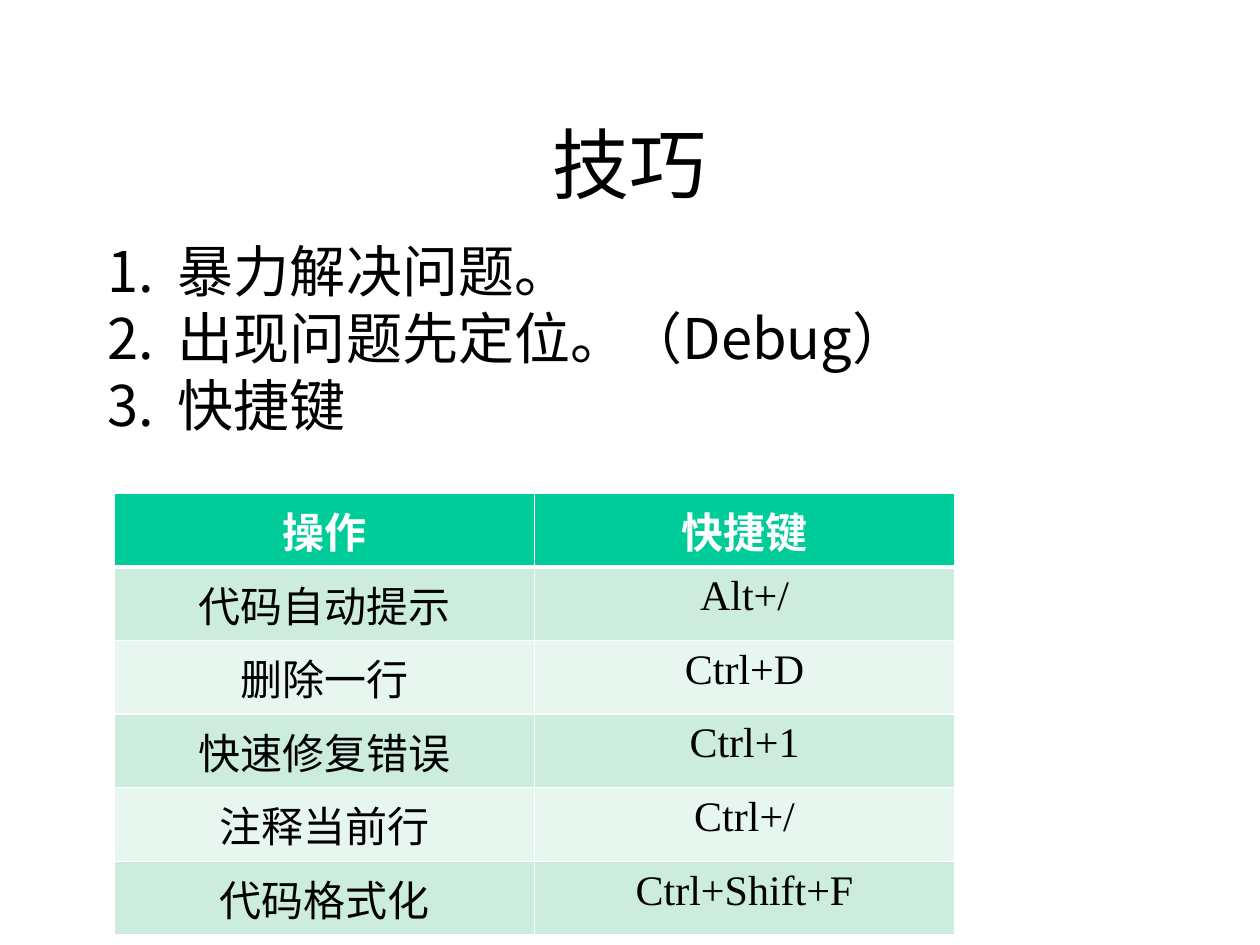
from dataclasses import dataclass

from lxml import etree
from pptx import Presentation
from pptx import util as u
from pptx.dml.color import RGBColor
from pptx.enum import text
from pptx.oxml.ns import qn

Pt = u.Pt


@dataclass(frozen=True)
class Theme:
    sans: str = "Noto Sans CJK SC"
    serif: str = "Times New Roman"
    ink: str = "000000"
    white: str = "FFFFFF"
    head: str = "00CC99"
    bands: tuple = ("CCECDE", "E7F6EF")
    title: int = 44
    body: int = 32
    cell: int = 24


THEME = Theme()


def style(para, face, size, color, bold=False):
    for run in para.runs:
        font = run.font
        font.name, font.size, font.bold = face, Pt(size), bold
        font.color.rgb = RGBColor.from_string(color)
        east = etree.SubElement(font._element, qn("a:ea"))
        east.set("typeface", THEME.sans)


def place(shape, box):
    shape.left, shape.top, shape.width, shape.height = map(Pt, box)


def add_title(slide, box, words):
    shape = slide.shapes.title
    place(shape, box)
    frame = shape.text_frame
    frame.text = words
    frame.vertical_anchor = text.MSO_ANCHOR.MIDDLE
    para = frame.paragraphs[0]
    para.alignment = text.PP_ALIGN.CENTER
    style(para, THEME.sans, THEME.title, THEME.ink)


def add_list(slide, box, items):
    shape = slide.placeholders[1]
    place(shape, box)
    frame = shape.text_frame
    frame.text = "\n".join(items)
    frame.auto_size = text.MSO_AUTO_SIZE.NONE
    for para in frame.paragraphs:
        para.space_before = Pt(0.2 * THEME.body)
        para.line_spacing = 0.83
        style(para, THEME.sans, THEME.body, THEME.ink)
        # Hanging number
        props = para._p.get_or_add_pPr()
        props.set("marL", str(Pt(40.5)))
        props.set("indent", str(-Pt(40.5)))
        mark = etree.SubElement(props, qn("a:buFont"))
        mark.set("typeface", THEME.sans)
        num = etree.SubElement(props, qn("a:buAutoNum"))
        num.set("type", "arabicPeriod")


def rule_cell(cell, base):
    """Draw the four white borders of a cell; they precede its fill."""
    props = cell._tc.get_or_add_tcPr()
    for spot, side in enumerate("LRTB"):
        line = etree.Element(qn(f"a:ln{side}"))
        line.set("w", str(Pt(base if side == "B" else 1)))
        fill = etree.SubElement(line, qn("a:solidFill"))
        etree.SubElement(fill, qn("a:srgbClr")).set("val", THEME.white)
        props.insert(spot, line)


def add_keys(slide, box, rows):
    count, wide = len(rows), len(rows[0])
    table = slide.shapes.add_table(count, wide, *map(Pt, box)).table
    for col in table.columns:
        col.width = Pt(box[2] / wide)
    for i, row in enumerate(rows):
        table.rows[i].height = Pt(box[3] / count)
        top = i == 0
        for j, words in enumerate(row):
            cell = table.cell(i, j)
            cell.text = words
            cell.fill.solid()
            shade = THEME.head if top else THEME.bands[(i - 1) % 2]
            cell.fill.fore_color.rgb = RGBColor.from_string(shade)
            rule_cell(cell, 3 if top else 1)
            para = cell.text_frame.paragraphs[0]
            para.alignment = text.PP_ALIGN.CENTER
            color = THEME.white if top else THEME.ink
            style(para, THEME.serif, THEME.cell, color, top)


def main():
    deck = Presentation()
    deck.slide_width, deck.slide_height = Pt(720), Pt(540)
    slide = deck.slides.add_slide(deck.slide_layouts[1])
    add_title(slide, (54, 48, 612, 90), "技巧")
    add_list(slide, (54, 138, 612, 342),
             ["暴力解决问题。", "出现问题先定位。（Debug）", "快捷键"])
    add_keys(slide, (65.5, 282, 480, 175), [
        ("操作", "快捷键"),
        ("代码自动提示", "Alt+/"),
        ("删除一行", "Ctrl+D"),
        ("快速修复错误", "Ctrl+1"),
        ("注释当前行", "Ctrl+/"),
        ("代码格式化", "Ctrl+Shift+F"),
    ])
    deck.save("out.pptx")


if __name__ == "__main__":
    main()
